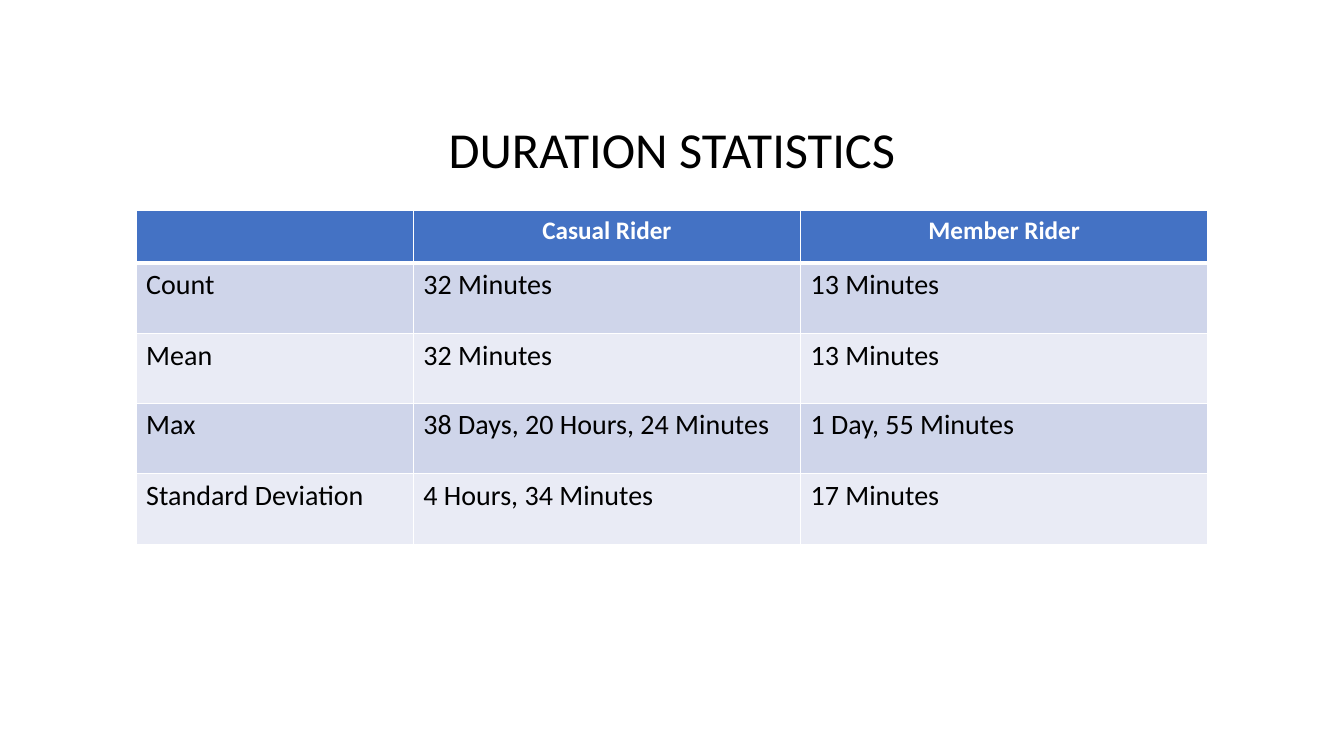
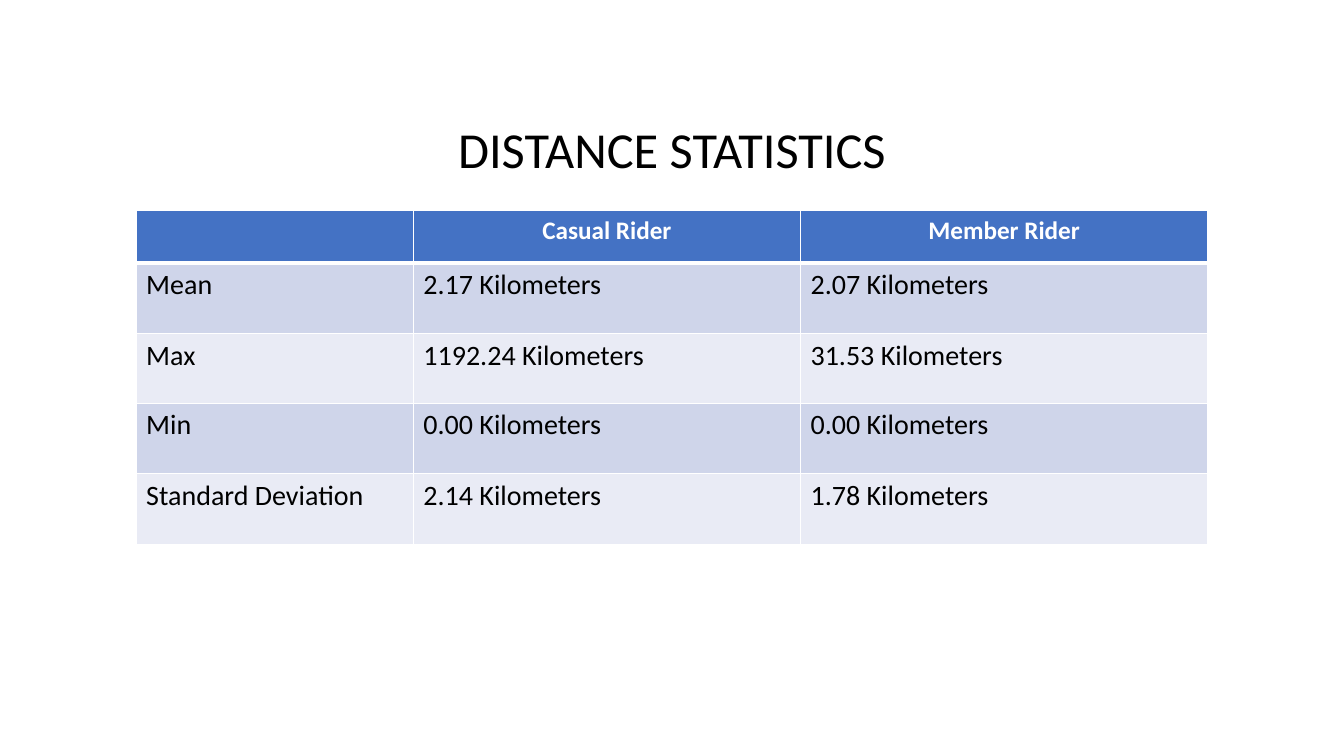
from dataclasses import dataclass

from lxml import etree
from pptx import Presentation
from pptx.dml.color import RGBColor
from pptx.enum import text
from pptx.oxml import ns
from pptx.presentation import Presentation as Deck
from pptx.table import _Cell as Cell
from pptx.text.text import TextFrame
from pptx.util import Inches, Pt

WHITE = RGBColor(0xFF, 0xFF, 0xFF)
BLACK = RGBColor(0x00, 0x00, 0x00)
HEADER_BLUE = RGBColor(0x44, 0x72, 0xC4)
BANDS = (RGBColor(0xE9, 0xEB, 0xF5), RGBColor(0xCF, 0xD5, 0xEA))

FONT = "Calibri"
TITLE_ONLY = 5
PAGE_WIDTH, PAGE_HEIGHT = 13.33, 7.5
TITLE_TOP, TITLE_HEIGHT = 1.12, 0.71
TABLE_LEFT, TABLE_TOP = 1.35, 2.09
COLUMN_WIDTHS = (2.75, 3.84, 4.04)
ROW_HEIGHTS = (0.52, 0.7, 0.69, 0.7, 0.7)
HEADER = ("", "Casual Rider", "Member Rider")
THIN, THICK = 1, 3


@dataclass(frozen=True)
class StatisticsPage:
    title: str
    title_width: float
    rows: tuple[tuple[str, str, str], ...]


PAGES = (
    StatisticsPage("DURATION STATISTICS", 4.87, (
        ("Count", "32 Minutes", "13 Minutes"),
        ("Mean", "32 Minutes", "13 Minutes"),
        ("Max", "38 Days, 20 Hours, 24 Minutes", "1 Day, 55 Minutes"),
        ("Standard Deviation", "4 Hours, 34 Minutes", "17 Minutes"),
    )),
    StatisticsPage("DISTANCE STATISTICS", 6.66, (
        ("Mean", "2.17 Kilometers", "2.07 Kilometers"),
        ("Max", "1192.24 Kilometers", "31.53 Kilometers"),
        ("Min", "0.00 Kilometers", "0.00 Kilometers"),
        ("Standard Deviation", "2.14 Kilometers", "1.78 Kilometers"),
    )),
)


def write_text(frame: TextFrame, words: str, size: int, color: RGBColor,
               bold: bool = False, centred: bool = False) -> None:
    frame.text = words
    paragraph = frame.paragraphs[0]
    paragraph.alignment = text.PP_ALIGN.CENTER if centred else text.PP_ALIGN.LEFT
    for font in (paragraph.font, *(span.font for span in paragraph.runs)):
        font.name = FONT
        font.size = Pt(size)
        font.bold = bold
        font.color.rgb = color


def add_borders(cell: Cell, top: int, bottom: int) -> None:
    properties = cell._tc.get_or_add_tcPr()
    widths = {"a:lnL": THIN, "a:lnR": THIN, "a:lnT": top, "a:lnB": bottom}
    for side, width in widths.items():
        line = etree.SubElement(properties, ns.qn(side), w=str(Pt(width)))
        fill = etree.SubElement(line, ns.qn("a:solidFill"))
        etree.SubElement(fill, ns.qn("a:srgbClr"), val=str(WHITE))


def format_cell(cell: Cell, words: str, row: int) -> None:
    is_header = row == 0
    add_borders(cell, THICK if row == 1 else THIN, THICK if is_header else THIN)
    cell.fill.solid()
    cell.fill.fore_color.rgb = HEADER_BLUE if is_header else BANDS[row % 2]
    if is_header:
        write_text(cell.text_frame, words, 18, WHITE, bold=True, centred=True)
    else:
        write_text(cell.text_frame, words, 20, BLACK)


def add_statistics_page(deck: Deck, content: StatisticsPage) -> None:
    page = deck.slides.add_slide(deck.slide_layouts[TITLE_ONLY])

    title = page.shapes.title
    title.left = Inches((PAGE_WIDTH - content.title_width) / 2)
    title.top = Inches(TITLE_TOP)
    title.width = Inches(content.title_width)
    title.height = Inches(TITLE_HEIGHT)
    title.text_frame.auto_size = text.MSO_AUTO_SIZE.SHAPE_TO_FIT_TEXT
    title.text_frame.vertical_anchor = text.MSO_ANCHOR.TOP
    write_text(title.text_frame, content.title, 36, BLACK, centred=True)

    rows = (HEADER, *content.rows)
    table = page.shapes.add_table(
        len(rows), len(HEADER), Inches(TABLE_LEFT), Inches(TABLE_TOP),
        Inches(sum(COLUMN_WIDTHS)), Inches(sum(ROW_HEIGHTS))).table
    for column, width in zip(table.columns, COLUMN_WIDTHS):
        column.width = Inches(width)
    for row, height in zip(table.rows, ROW_HEIGHTS):
        row.height = Inches(height)
    for row_index, values in enumerate(rows):
        for column_index, words in enumerate(values):
            format_cell(table.cell(row_index, column_index), words, row_index)


def main() -> None:
    deck = Presentation()
    deck.slide_width = Inches(PAGE_WIDTH)
    deck.slide_height = Inches(PAGE_HEIGHT)
    for content in PAGES:
        add_statistics_page(deck, content)
    deck.save("out.pptx")


if __name__ == "__main__":
    main()
